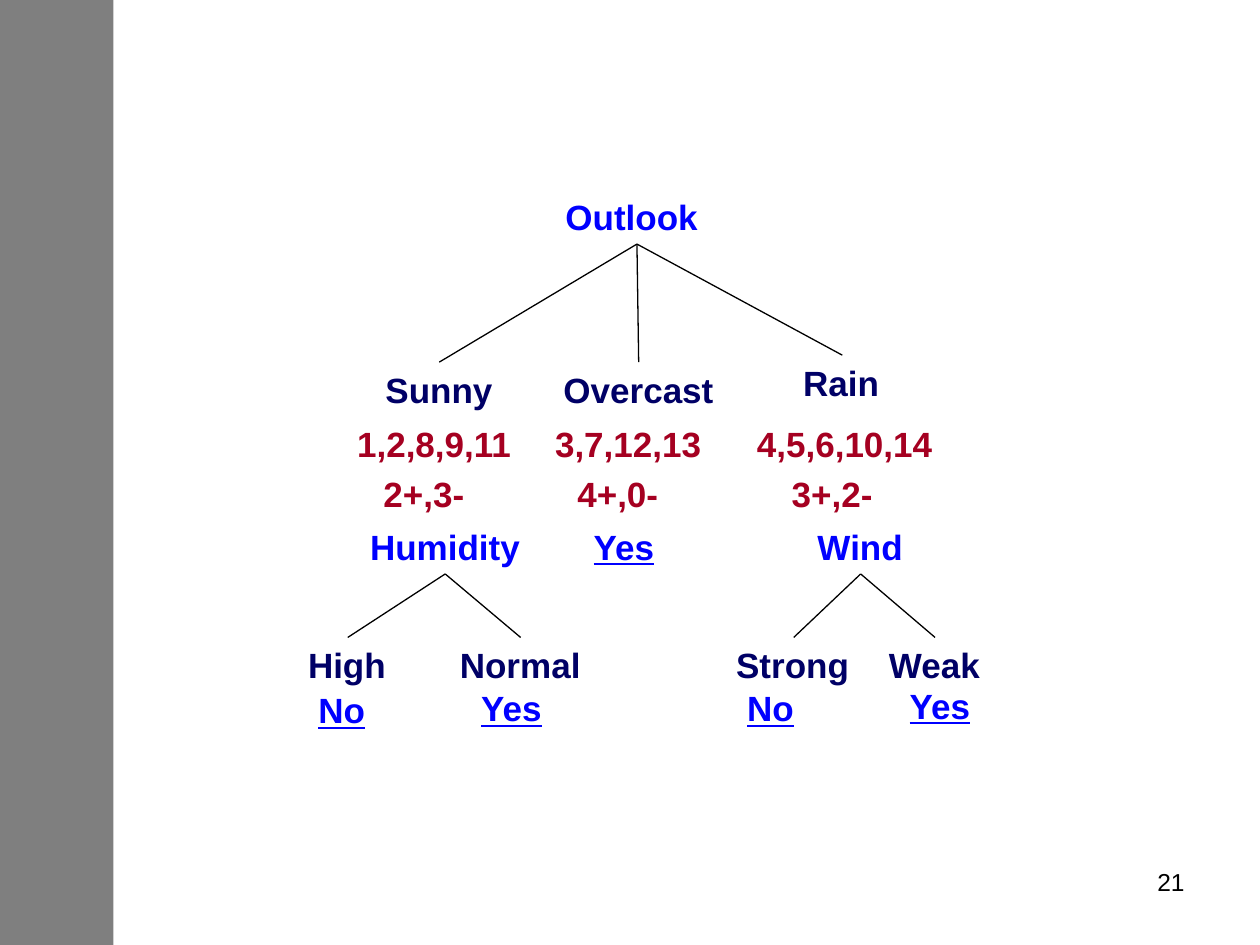
from lxml import etree
from pptx import Presentation
from pptx import util as u
from pptx.dml.color import RGBColor
from pptx.enum import shapes, text
from pptx.oxml.ns import qn

BLACK = RGBColor(0x00, 0x00, 0x00)
BLUE = RGBColor(0x00, 0x00, 0xFF)
NAVY = RGBColor(0x00, 0x00, 0x66)
RED = RGBColor(0xA5, 0x00, 0x21)


class TreeSlide:
    """Holds the text and line style and the slide being drawn."""
    font = "Arial"
    node_size = u.Pt(20)
    node_height = 1.11
    line_width = u.Pt(0.75)

    def __init__(self, presentation):
        self.slide = presentation.slides.add_slide(presentation.slide_layouts[6])

    def band(self, width, height, opacity):
        shape = self.slide.shapes.add_shape(
            shapes.MSO_SHAPE.RECTANGLE, 0, 0, u.Cm(width), u.Cm(height))
        shape.shadow.inherit = False
        shape.line.fill.background()
        shape.fill.solid()
        shape.fill.fore_color.rgb = BLACK
        color = shape.fill._xPr.find(qn("a:solidFill"))[0]
        etree.SubElement(color, qn("a:alpha"), val=str(opacity * 1000))

    def text_box(self, words, left, top, width, height, size, color):
        box = self.slide.shapes.add_textbox(
            u.Cm(left), u.Cm(top), u.Cm(width), u.Cm(height))
        box.text_frame.word_wrap = True
        run = box.text_frame.paragraphs[0].add_run()
        run.text = words
        run.font.name = self.font
        run.font.size = size
        run.font.color.rgb = color
        return box, run

    def node(self, words, left, top, width, color, underline=None):
        box, run = self.text_box(
            words, left, top, width, self.node_height, self.node_size, color)
        box.text_frame.word_wrap = False
        box.text_frame.auto_size = text.MSO_AUTO_SIZE.SHAPE_TO_FIT_TEXT
        run.font.bold = True
        run.font.underline = underline
        return box

    def answer(self, words, left, top, width):
        return self.node(words, left, top, width, BLUE, underline=True)

    def branch(self, parent, child):
        line = self.slide.shapes.add_connector(
            shapes.MSO_CONNECTOR.STRAIGHT, 0, 0, 0, 0)
        line.begin_connect(parent, 2)
        line.end_connect(child, 0)
        line.line.color.rgb = BLACK
        line.line.width = self.line_width
        etree.SubElement(line._element.spPr, qn("a:effectLst"))

    def page_number(self, number):
        box, _ = self.text_box(number, 18.21, 17.35, 5.92, 1.32, u.Pt(14), BLACK)
        box.text_frame.paragraphs[0].alignment = text.PP_ALIGN.RIGHT


def main():
    presentation = Presentation()
    presentation.slide_width = u.Cm(25.4)
    presentation.slide_height = u.Cm(19.05)
    tree = TreeSlide(presentation)

    # Side band and page number
    tree.band(2.29, 19.05, opacity=50)
    tree.page_number("21")

    # Attributes tested
    outlook = tree.node("Outlook", 11.15, 3.81, 3.38, BLUE)
    humidity = tree.node("Humidity", 7.21, 10.46, 3.53, BLUE)
    wind = tree.node("Wind", 16.23, 10.46, 2.24, BLUE)

    # Attribute values, each at the end of a branch
    branches = [
        (outlook, "Sunny", 7.52, 7.3, 2.67),
        (outlook, "Overcast", 11.11, 7.3, 3.53),
        (outlook, "Rain", 15.94, 7.16, 2.08),
        (humidity, "High", 5.96, 12.85, 2.1),
        (humidity, "Normal", 9.02, 12.85, 2.95),
        (wind, "Strong", 14.59, 12.85, 2.82),
        (wind, "Weak", 17.67, 12.85, 2.36),
    ]
    for parent, value, left, top, width in branches:
        tree.branch(parent, tree.node(value, left, top, width, NAVY))

    # Examples and class counts under each outlook
    examples = [
        ("1,2,8,9,11", 6.95, 8.39, 3.66),
        ("3,7,12,13", 10.94, 8.39, 3.45),
        ("4,5,6,10,14", 15.01, 8.4, 4.06),
        ("2+,3-", 7.48, 9.41, 2.18),
        ("4+,0-", 11.39, 9.41, 2.18),
        ("3+,2-", 15.71, 9.41, 2.18),
    ]
    for words, left, top, width in examples:
        tree.node(words, left, top, width, RED)

    # Decisions at the leaves
    answers = [
        ("Yes", 11.72, 10.46, 1.75),
        ("No", 6.17, 13.76, 1.45),
        ("Yes", 9.45, 13.72, 1.75),
        ("No", 14.81, 13.72, 1.45),
        ("Yes", 18.09, 13.67, 1.75),
    ]
    for decision in answers:
        tree.answer(*decision)

    presentation.save("out.pptx")


if __name__ == "__main__":
    main()
